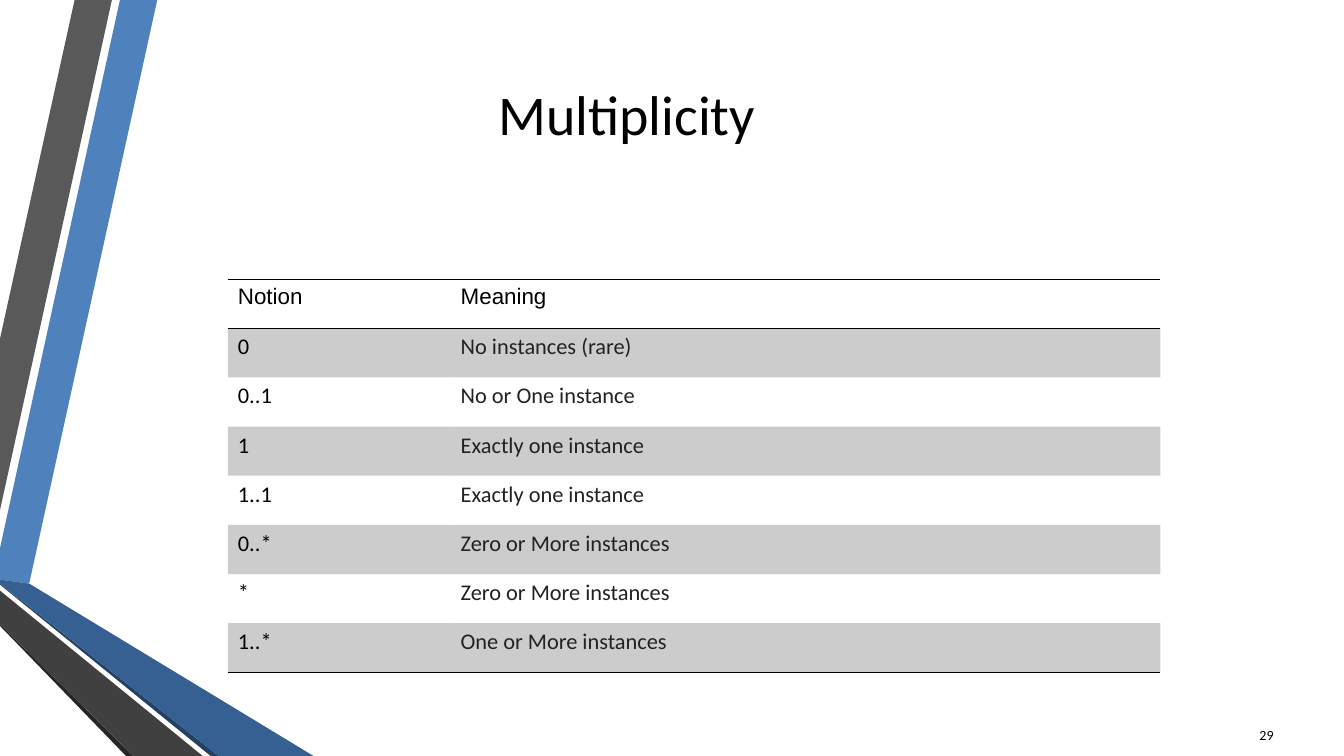
"""Build the Multiplicity slide with its notation table."""
from lxml.etree import SubElement
from pptx import Presentation
from pptx.dml.color import RGBColor
from pptx.enum.text import MSO_ANCHOR, PP_ALIGN
from pptx.oxml import parse_xml
from pptx.oxml.ns import nsdecls, qn
from pptx.util import Pt

PX = 9144

BLACK = RGBColor(0x00, 0x00, 0x00)
INK = RGBColor(0x22, 0x22, 0x22)
BLUE = RGBColor(0x4F, 0x81, 0xBD)
MID_BLUE = RGBColor(0x37, 0x60, 0x92)
DARK_BLUE = RGBColor(0x25, 0x40, 0x61)
GREY = RGBColor(0x59, 0x59, 0x59)
DARK_GREY = RGBColor(0x40, 0x40, 0x40)
CHARCOAL = RGBColor(0x26, 0x26, 0x26)

PLAIN_TABLE_STYLE = "{2D5ABB26-0587-4C30-8999-92F81FD0307C}"
BAND_OPACITY = 20

RIBBONS = [
    (BLUE, [(0, 544), (0, 575), (29, 579), (156, 0), (119, 0)]),
    (GREY, [(111, 0), (74, 0), (0, 336), (0, 506)]),
    (CHARCOAL, [(0, 619), (0, 621), (125, 750), (132, 750)]),
    (DARK_BLUE, [(0, 579), (0, 580), (209, 750), (217, 750)]),
    (MID_BLUE, [(0, 579), (217, 750), (311, 750), (29, 579), (0, 575)]),
    (DARK_GREY, [(0, 619), (132, 750), (201, 750), (0, 586)]),
]

ROWS = [
    ("Notion", "Meaning"),
    ("0", "No instances (rare)"),
    ("0..1", "No or One instance"),
    ("1", "Exactly one instance"),
    ("1..1", "Exactly one instance"),
    ("0..*", "Zero or More instances"),
    ("*", "Zero or More instances"),
    ("1..*", "One or More instances"),
]


def set_text(frame, text, size, color=BLACK, font="Calibri", align=PP_ALIGN.LEFT):
    """Write one formatted line into a text frame."""
    para = frame.paragraphs[0]
    para.alignment = align
    span = para.add_run()
    span.text = text
    span.font.color.rgb = color
    formats = {"size": Pt(size), "name": font, "bold": False}
    for name, value in formats.items():
        setattr(span.font, name, value)


def place(shape, left, top, width, height):
    """Move and size a shape, with lengths in px."""
    bounds = {"left": left, "top": top, "width": width, "height": height}
    for name, value in bounds.items():
        setattr(shape, name, value * PX)


def add_ribbon(page, color, points):
    """Draw one filled polygon of the side decoration."""
    builder = page.shapes.build_freeform(*points[0], scale=PX)
    builder.add_line_segments(points[1:], close=True)
    ribbon = builder.convert_to_shape()
    ribbon.shadow.inherit = False
    ribbon.fill.solid()
    ribbon.fill.fore_color.rgb = color
    ribbon.line.fill.background()


def add_title(page, text):
    """Fill and place the title placeholder."""
    title = page.shapes.title
    place(title, 143, 50, 957, 125)
    title.text_frame.vertical_anchor = MSO_ANCHOR.MIDDLE
    set_text(title.text_frame, text, 40, align=PP_ALIGN.CENTER)


def add_page_number(page, text):
    """Add the number in the lower right corner."""
    box = page.shapes.add_textbox(1211 * PX, 709 * PX, 62 * PX, 40 * PX)
    box.text_frame.word_wrap = True
    box.text_frame.vertical_anchor = MSO_ANCHOR.MIDDLE
    set_text(box.text_frame, text, 10, align=PP_ALIGN.RIGHT)


def add_border(cell, side):
    """Rule one side of a cell with a thin black line."""
    line = parse_xml(
        f'<a:{side} {nsdecls("a")} w="{Pt(1)}"><a:solidFill>'
        f'<a:srgbClr val="{BLACK}"/></a:solidFill></a:{side}>'
    )
    cell._tc.get_or_add_tcPr().insert(0, line)


def fill_cell(cell, banded):
    """Give a cell a translucent band or no fill."""
    if not banded:
        cell.fill.background()
        return
    cell.fill.solid()
    cell.fill.fore_color.rgb = BLACK
    color = cell._tc.tcPr.find(f'{qn("a:solidFill")}/{qn("a:srgbClr")}')
    SubElement(color, qn("a:alpha"), val=str(BAND_OPACITY * 1000))


def add_notation_table(page):
    """Add the table of notations and meanings."""
    frame = page.shapes.add_table(
        len(ROWS), 2, 226 * PX, 277 * PX, 925 * PX, 390 * PX
    )
    table = frame.table
    table._tbl.tblPr.find(qn("a:tableStyleId")).text = PLAIN_TABLE_STYLE
    for column, width in zip(table.columns, (221, 704)):
        column.width = width * PX
    for row, texts in enumerate(ROWS):
        header = row == 0
        for column, text in enumerate(texts):
            cell = table.cell(row, column)
            color = INK if column and not header else BLACK
            font = "Arial" if header else "Calibri"
            set_text(cell.text_frame, text, 16, color, font)
            fill_cell(cell, row % 2 == 1)
            if header or row == len(ROWS) - 1:
                add_border(cell, "lnB")
            if header:
                add_border(cell, "lnT")


def main():
    """Build and save the deck."""
    deck = Presentation()
    deck.slide_width = 1333 * PX
    deck.slide_height = 750 * PX
    page = deck.slides.add_slide(deck.slide_layouts[5])
    for color, points in RIBBONS:
        add_ribbon(page, color, points)
    add_title(page, "Multiplicity")
    add_notation_table(page)
    add_page_number(page, "29")
    deck.save("out.pptx")


if __name__ == "__main__":
    main()
